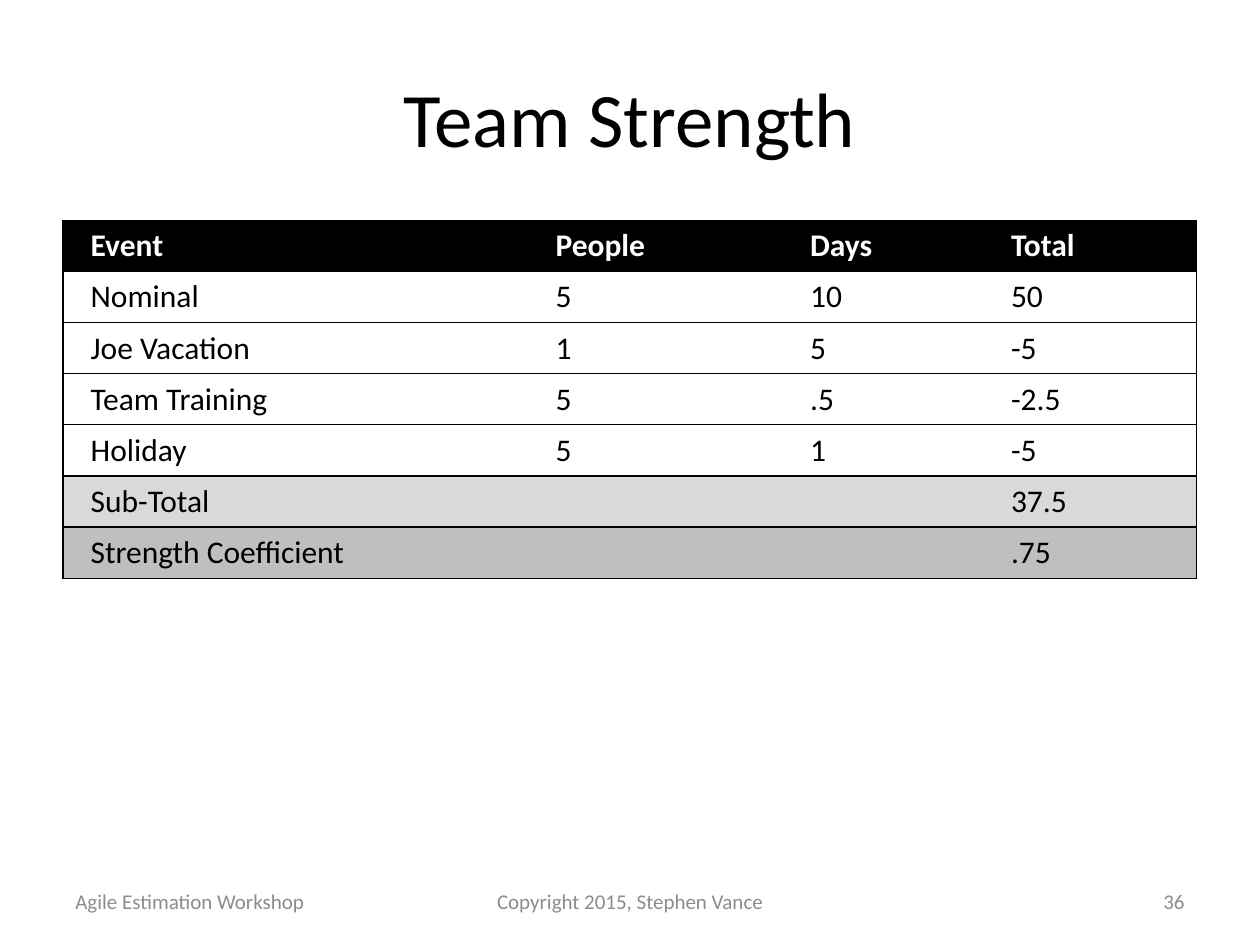
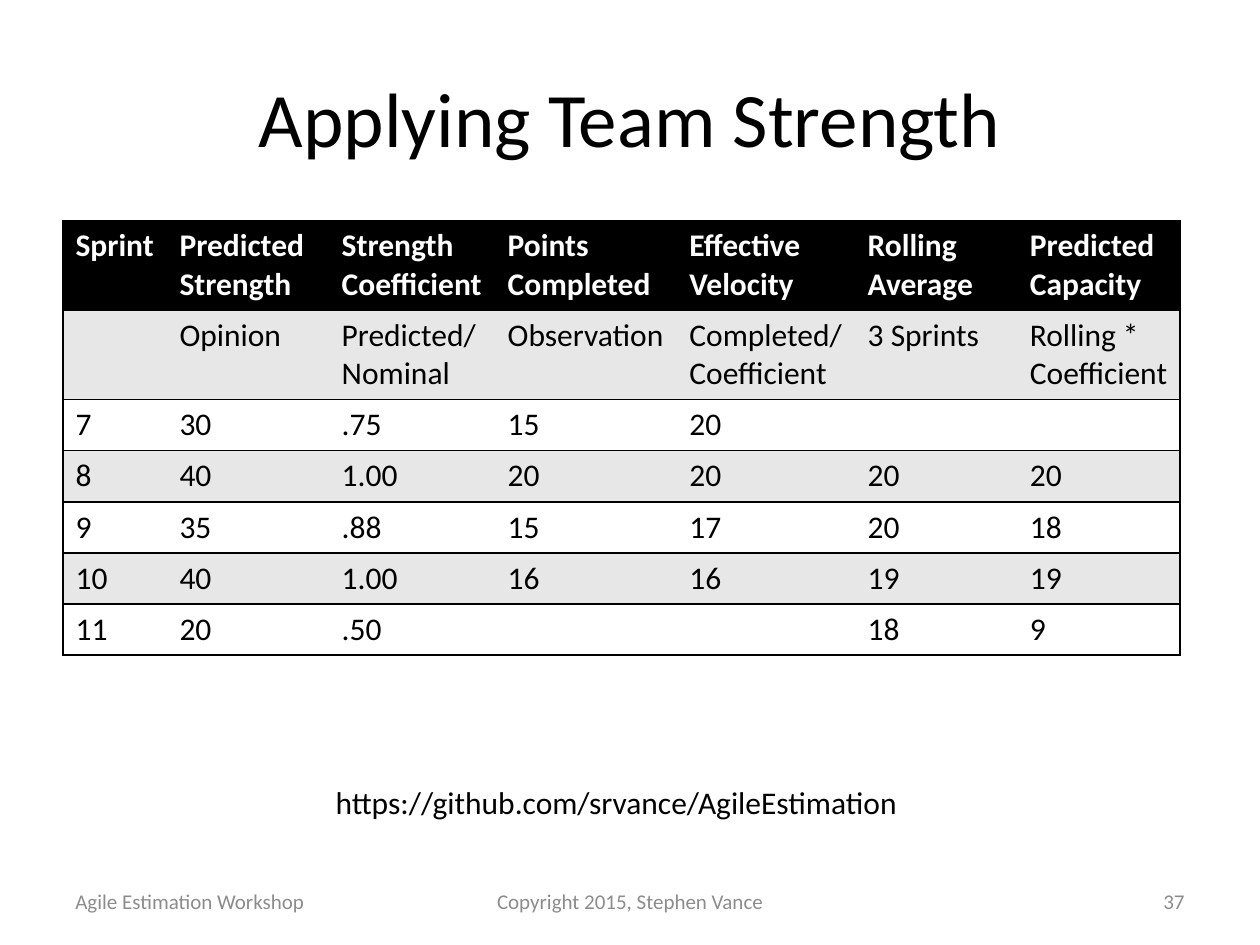
from dataclasses import dataclass

from lxml.etree import SubElement
from pptx import Presentation
from pptx.dml.color import RGBColor
from pptx.enum.text import MSO_ANCHOR, MSO_AUTO_SIZE, PP_ALIGN
from pptx.oxml.ns import qn
from pptx.util import Emu, Inches, Pt

GRID_COLUMNS, GRID_ROWS = 40, 30


@dataclass(frozen=True)
class Theme:
    font: str = "Calibri"
    black: str = "000000"
    white: str = "FFFFFF"
    muted: str = "8C8C8C"
    band: str = "E7E7E7"
    subtotal: str = "D9D9D9"
    result: str = "BFBFBF"
    title_size: int = 44
    body_size: int = 18
    footer_size: int = 12


def write(frame, text, *, font, size, color, bold=False, align=PP_ALIGN.LEFT):
    for index, line in enumerate(text.split("\n")):
        paragraph = frame.paragraphs[0] if index == 0 else frame.add_paragraph()
        paragraph.alignment = align
        run = paragraph.add_run()
        run.text = line
        run.font.name = font
        run.font.size = Pt(size)
        run.font.bold = bold
        run.font.color.rgb = RGBColor.from_string(color)


def draw_border(cell, side, color, width):
    properties = cell._tc.get_or_add_tcPr()
    line = SubElement(properties, qn(f"a:ln{side}"), w=str(Pt(width)))
    if color:
        fill = SubElement(line, qn("a:solidFill"))
        SubElement(fill, qn("a:srgbClr"), val=color)
    else:
        SubElement(line, qn("a:noFill"))


class Deck:
    def __init__(self, theme):
        self.theme = theme
        self.presentation = Presentation()
        self.presentation.slide_width = Inches(10)
        self.presentation.slide_height = Inches(7.5)
        self.slide = None

    def columns(self, count):
        return Emu(round(self.presentation.slide_width * count / GRID_COLUMNS))

    def rows(self, count):
        return Emu(round(self.presentation.slide_height * count / GRID_ROWS))

    def add_slide(self, title, number):
        self.slide = self.presentation.slides.add_slide(self.presentation.slide_layouts[6])
        self.add_text(title, 2, 1.2, 36, 5, size=self.theme.title_size,
                      align=PP_ALIGN.CENTER, anchor=MSO_ANCHOR.MIDDLE)
        self.add_footer(number)

    def add_text(self, text, left, top, width, height, *, size, color=None,
                 align=PP_ALIGN.LEFT, anchor=MSO_ANCHOR.TOP, wrap=True):
        box = self.slide.shapes.add_textbox(
            self.columns(left), self.rows(top), self.columns(width), self.rows(height))
        frame = box.text_frame
        frame.word_wrap = wrap
        frame.auto_size = MSO_AUTO_SIZE.NONE if wrap else MSO_AUTO_SIZE.SHAPE_TO_FIT_TEXT
        frame.vertical_anchor = anchor
        write(frame, text, font=self.theme.font, size=size,
              color=color or self.theme.black, align=align)

    def add_footer(self, number):
        parts = (
            ("Agile Estimation Workshop", 2, 9.33, PP_ALIGN.LEFT),
            ("Copyright 2015, Stephen Vance", 13.67, 12.67, PP_ALIGN.CENTER),
            (str(number), 28.67, 9.33, PP_ALIGN.RIGHT),
        )
        for text, left, width, align in parts:
            self.add_text(text, left, 27.8, width, 1.6, size=self.theme.footer_size,
                          color=self.theme.muted, align=align, anchor=MSO_ANCHOR.MIDDLE)

    def add_table(self, records, widths, fills, *, heights, border, inset=0.4):
        shape = self.slide.shapes.add_table(
            len(records), len(widths), self.columns(2), self.rows(7),
            self.columns(sum(widths)), self.rows(sum(heights)))
        table = shape.table
        table.first_row = table.horz_banding = False
        for column, width in zip(table.columns, widths):
            column.width = self.columns(width)
        for row, height in zip(table.rows, heights):
            row.height = self.rows(height)
        for row_index, (record, fill) in enumerate(zip(records, fills)):
            for column_index, text in enumerate(record):
                cell = table.cell(row_index, column_index)
                cell.margin_left = cell.margin_right = self.columns(inset)
                edges = {"L": column_index == 0,
                         "R": column_index == len(widths) - 1, "T": True, "B": True}
                for side, visible in edges.items():
                    draw_border(cell, side, self.theme.black if visible else None, border)
                cell.fill.solid()
                cell.fill.fore_color.rgb = RGBColor.from_string(fill)
                header = row_index == 0
                write(cell.text_frame, text, font=self.theme.font, size=self.theme.body_size,
                      color=self.theme.white if header else self.theme.black, bold=header)


def add_team_strength(deck):
    theme = deck.theme
    deck.add_slide("Team Strength", 36)
    events = [
        ("Event", "People", "Days", "Total"),
        ("Nominal", "5", "10", "50"),
        ("Joe Vacation", "1", "5", "-5"),
        ("Team Training", "5", ".5", "-2.5"),
        ("Holiday", "5", "1", "-5"),
        ("Sub-Total", "", "", "37.5"),
        ("Strength Coefficient", "", "", ".75"),
    ]
    fills = [theme.black] + [theme.white] * 4 + [theme.subtotal, theme.result]
    deck.add_table(events, (14.76, 8.08, 6.38, 6.78), fills,
                   heights=[1.62] * 7, border=0.75, inset=0.88)


def add_applying_team_strength(deck):
    theme = deck.theme
    deck.add_slide("Applying Team Strength", 37)
    sprints = [
        ("Sprint", "Predicted\nStrength", "Strength\nCoefficient", "Points\nCompleted",
         "Effective\nVelocity", "Rolling\nAverage", "Predicted\nCapacity"),
        ("", "Opinion", "Predicted/\nNominal", "Observation",
         "Completed/\nCoefficient", "3 Sprints", "Rolling *\nCoefficient"),
        ("7", "30", ".75", "15", "20", "", ""),
        ("8", "40", "1.00", "20", "20", "20", "20"),
        ("9", "35", ".88", "15", "17", "20", "18"),
        ("10", "40", "1.00", "16", "16", "19", "19"),
        ("11", "20", ".50", "", "", "18", "9"),
    ]
    fills = [theme.black] + [theme.band, theme.white] * 3
    deck.add_table(sprints, (3.3, 5.15, 5.27, 5.77, 5.66, 5.15, 5.17), fills,
                   heights=[2.83] * 2 + [1.62] * 5, border=1)
    deck.add_text("https://github.com/srvance/AgileEstimation", 10.26, 24.67, 18.92, 1.6,
                  size=theme.body_size, wrap=False)


def main():
    deck = Deck(Theme())
    add_team_strength(deck)
    add_applying_team_strength(deck)
    deck.presentation.save("out.pptx")


if __name__ == "__main__":
    main()
